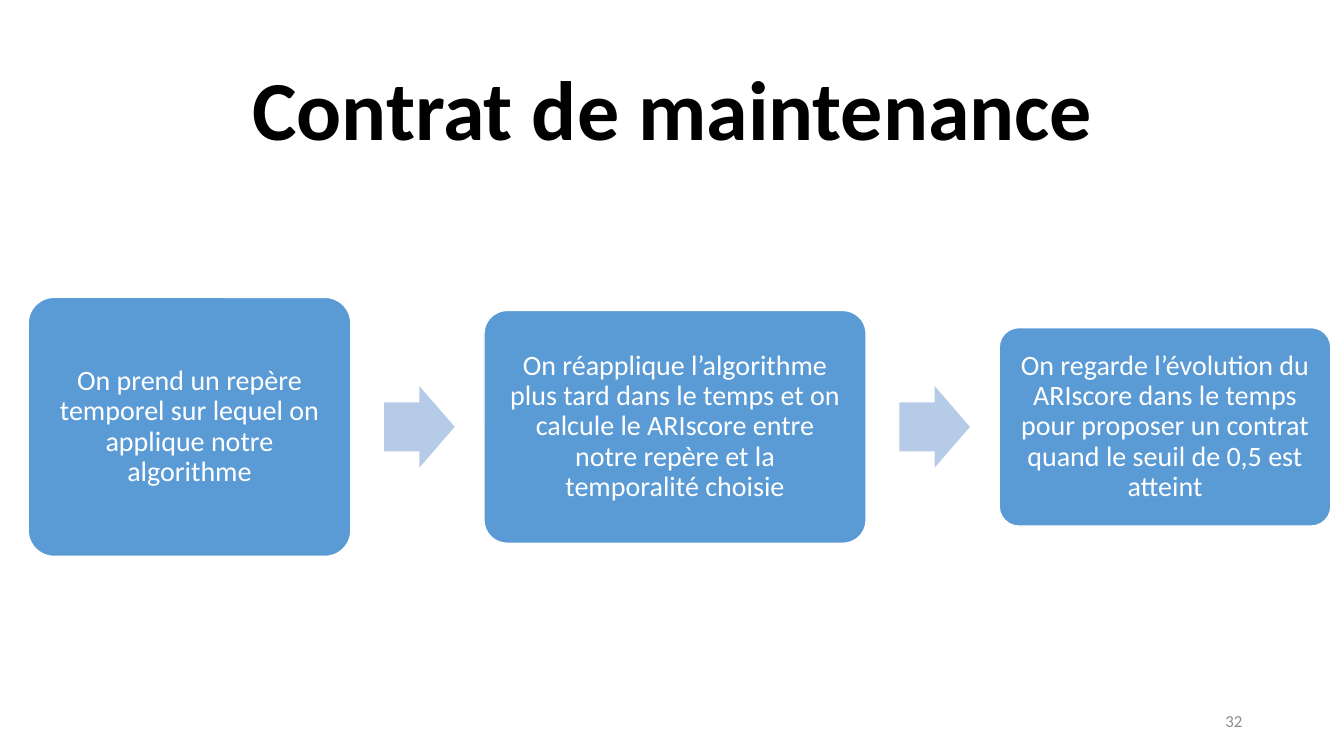
from pptx import Presentation
from pptx.dml.color import RGBColor
from pptx.enum.shapes import MSO_SHAPE as Preset
from pptx.enum.text import MSO_ANCHOR as Anchor, PP_ALIGN as Align
from pptx.util import Inches, Pt

TITLE = "Contrat de maintenance"
PAGE_NUMBER = "32"
STEPS = [
    ("On prend un repère temporel sur lequel on applique notre algorithme", 3.2, 2.57),
    ("On réapplique l’algorithme plus tard dans le temps et on calcule le ARIscore "
     "entre notre repère et la temporalité choisie", 3.79, 2.31),
    ("On regarde l’évolution du ARIscore dans le temps pour proposer un contrat "
     "quand le seuil de 0,5 est atteint", 3.29, 1.97),
]

FONT = "Calibri"
BLACK = RGBColor(0x00, 0x00, 0x00)
WHITE = RGBColor(0xFF, 0xFF, 0xFF)
GREY = RGBColor(0x8C, 0x8C, 0x8C)
STEP_BLUE = RGBColor(0x5B, 0x9B, 0xD5)
ARROW_BLUE = RGBColor(0xB5, 0xCB, 0xE7)

SLIDE_W, SLIDE_H = 13.33, 7.5
MARGIN = 0.92
FLOW_LEFT, FLOW_MIDDLE = 0.28, 4.235
ARROW_W, ARROW_H = 0.7, 0.81
GAP_BEFORE_ARROW, GAP_AFTER_ARROW = 0.33, 0.29
STEP_INSET = 0.15


def write(holder, text, size, color, align, bold=False, spacing=None):
    frame = holder.text_frame
    frame.text = text
    frame.word_wrap = True
    frame.vertical_anchor = Anchor.MIDDLE
    paragraph = frame.paragraphs[0]
    paragraph.alignment = align
    paragraph.line_spacing = spacing
    font = paragraph.runs[0].font
    font.name, font.size, font.bold = FONT, Pt(size), bold
    font.color.rgb = color


def add_centred(slide, preset, left, width, height, fill, adjustments):
    shape = slide.shapes.add_shape(
        preset, Inches(left), Inches(FLOW_MIDDLE - height / 2), Inches(width), Inches(height))
    shape.shadow.inherit = False
    shape.fill.solid()
    shape.fill.fore_color.rgb = fill
    shape.line.fill.background()
    for index, value in enumerate(adjustments):
        shape.adjustments[index] = value
    return shape


def add_step(slide, text, left, width, height):
    step = add_centred(slide, Preset.ROUNDED_RECTANGLE, left, width, height, STEP_BLUE, [0.1])
    step.line.color.rgb = WHITE
    step.line.width = Pt(1)
    frame = step.text_frame
    frame.margin_left = frame.margin_right = Inches(STEP_INSET)
    frame.margin_top = frame.margin_bottom = Inches(STEP_INSET)
    write(step, text, 20, WHITE, Align.CENTER, spacing=0.9)


def main():
    deck = Presentation()
    deck.slide_width, deck.slide_height = Inches(SLIDE_W), Inches(SLIDE_H)
    slide = deck.slides.add_slide(deck.slide_layouts[5])

    title = slide.shapes.title
    title.left, title.top = Inches(MARGIN), Inches(0.4)
    title.width, title.height = Inches(11.5), Inches(1.45)
    write(title, TITLE, 60, BLACK, Align.CENTER, bold=True, spacing=0.9)

    page = slide.shapes.add_textbox(Inches(9.42), Inches(6.95), Inches(3), Inches(0.4))
    write(page, PAGE_NUMBER, 12, GREY, Align.RIGHT)

    left = FLOW_LEFT
    for position, (text, width, height) in enumerate(STEPS):
        if position:
            left += GAP_BEFORE_ARROW
            add_centred(slide, Preset.RIGHT_ARROW, left, ARROW_W, ARROW_H, ARROW_BLUE, [0.6, 0.5])
            left += ARROW_W + GAP_AFTER_ARROW
        add_step(slide, text, left, width, height)
        left += width

    deck.save("out.pptx")


if __name__ == "__main__":
    main()
